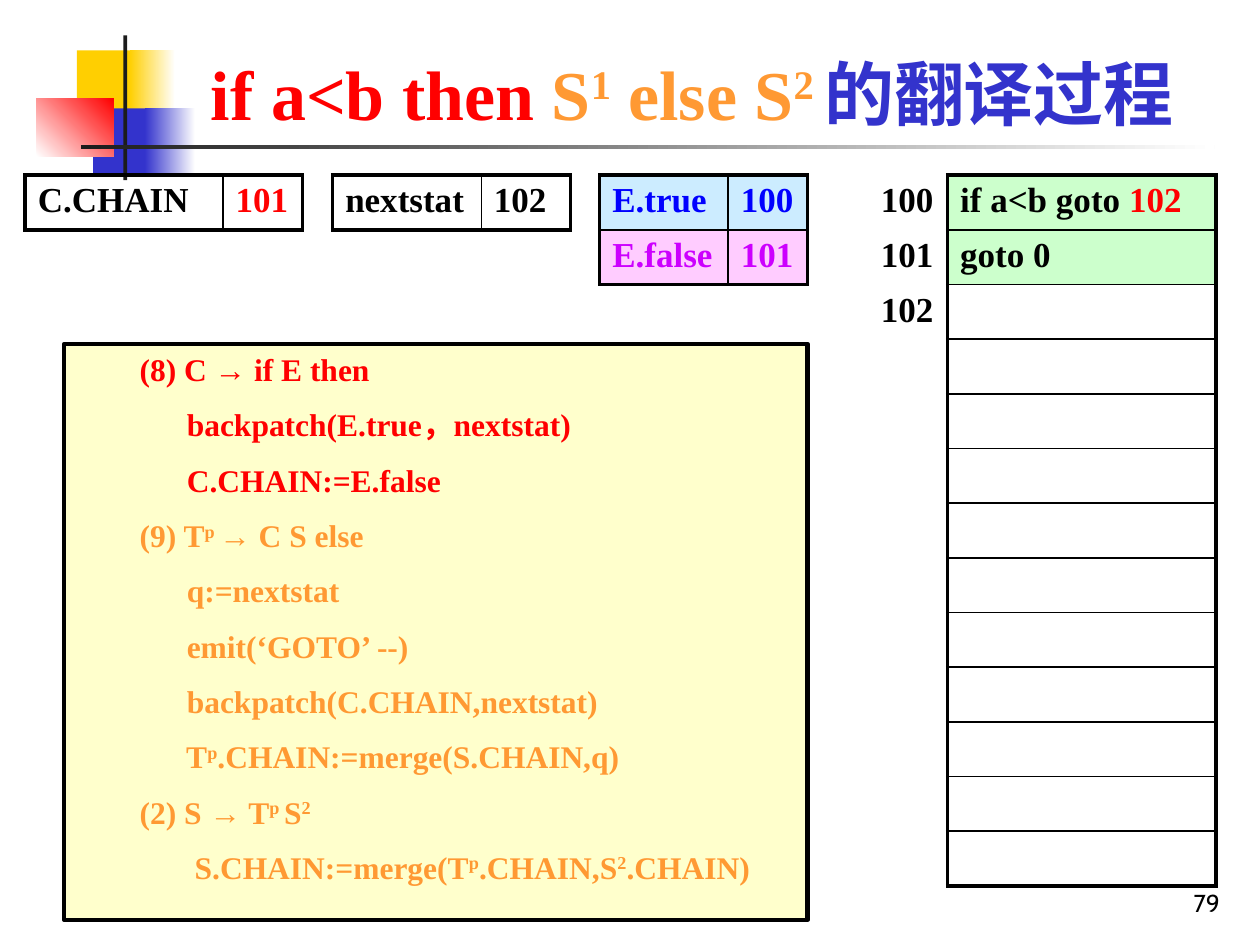
import pptx
import pptx.util
import pptx.dml.color
import pptx.enum.shapes
import pptx.enum.text
import pptx.oxml.ns
from lxml import etree

COLORS = {
    "black": "000000", "white": "FFFFFF", "ink": "1C1C1C", "gold": "FFCF01",
    "indigo": "3333CC", "red": "FF0000", "orange": "FF9933", "blue": "0000FF",
    "violet": "CC00FF", "cream": "FFFFCC", "mint": "CCFFCC", "sky": "CCECFF",
    "pink": "FFCCFF",
}
RGB = {name: pptx.dml.color.RGBColor.from_string(value) for name, value in COLORS.items()}
SERIF = "Times New Roman"
NO_STYLE = "{2D5ABB26-0587-4C30-8999-92F81FD0307C}"
RECTANGLE = pptx.enum.shapes.MSO_SHAPE.RECTANGLE
ANCHOR = pptx.enum.text.MSO_ANCHOR
ALIGN = pptx.enum.text.PP_ALIGN
qn = pptx.oxml.ns.qn

presentation = pptx.Presentation()
presentation.slide_width = pptx.util.Inches(10)
presentation.slide_height = pptx.util.Inches(7.5)
column_unit = presentation.slide_width / 100
row_unit = presentation.slide_height / 75
slide = presentation.slides.add_slide(presentation.slide_layouts[5])


def place(left, top, width, height):
    return [pptx.util.Emu(round(length * unit)) for length, unit in
            zip((left, top, width, height), (column_unit, row_unit) * 2)]


def write(paragraph, size, parts, font=SERIF, bold=True):
    for text, color in parts:
        for index, piece in enumerate(text.split("^")):
            if not piece:
                continue
            run = paragraph.add_run()
            run.text = piece
            run.font.name = font
            run.font.size = pptx.util.Pt(size)
            run.font.bold = bold
            run.font.color.rgb = RGB[color]
            if index % 2:
                run.font._element.set("baseline", "30000")


decorations = [
    ((6.1, 4, 4.8, 5.2), "gold", None, 0),
    ((10.3, 4, 3.6, 5.2), "gold", "white", 0),
    ((7.4, 8.6, 4.6, 5.2), "indigo", None, 0),
    ((11.5, 8.6, 4, 5.2), "indigo", "white", 0),
    ((2.9, 7.8, 6.1, 4.6), "white", "red", 45),
    ((9.8, 2.8, 0.3, 11.5), "ink", None, 0),
    ((6.4, 11.5, 90, 0.3), "ink", "white", 0),
]
for frame, start, end, angle in decorations:
    shape = slide.shapes.add_shape(RECTANGLE, *place(*frame))
    shape.shadow.inherit = False
    shape.line.fill.background()
    if end:
        shape.fill.gradient()
        shape.fill.gradient_angle = angle
        for stop, color in zip(shape.fill.gradient_stops, (start, end)):
            stop.color.rgb = RGB[color]
    else:
        shape.fill.solid()
        shape.fill.fore_color.rgb = RGB[start]

title = slide.shapes.title
title.left, title.top, title.width, title.height = place(12.2, 3.6, 85.5, 7.6)
title.text_frame.word_wrap = True
title.text_frame.auto_size = pptx.enum.text.MSO_AUTO_SIZE.NONE
title.text_frame.vertical_anchor = ANCHOR.BOTTOM
title.text_frame.paragraphs[0].alignment = ALIGN.CENTER
write(title.text_frame.paragraphs[0], 40, [
    ("if a<b then ", "red"), ("S^1^ else S^2 ^", "orange"), ("的翻译过程", "indigo")])

page_number = slide.shapes.add_textbox(*place(77, 68.3, 20.8, 5))
page_number.text_frame.word_wrap = True
page_number.text_frame.vertical_anchor = ANCHOR.BOTTOM
page_number.text_frame.paragraphs[0].alignment = ALIGN.RIGHT
write(page_number.text_frame.paragraphs[0], 14, [("79", "black")], "Cabin", False)

rules = [
    ("(8) C → if E then", "red"),
    ("      backpatch(E.true，nextstat)", "red"),
    ("      C.CHAIN:=E.false", "red"),
    ("(9) T^p ^→ C S else", "orange"),
    ("      q:=nextstat", "orange"),
    ("      emit(‘GOTO’ --)", "orange"),
    ("      backpatch(C.CHAIN,nextstat)", "orange"),
    ("      T^p^.CHAIN:=merge(S.CHAIN,q)", "orange"),
    ("(2) S → T^p ^S^2", "orange"),
    ("       S.CHAIN:=merge(T^p^.CHAIN,S^2^.CHAIN)", "orange"),
]
rules_box = slide.shapes.add_shape(RECTANGLE, *place(5.1, 27.3, 59, 45.7))
rules_box.shadow.inherit = False
rules_box.fill.solid()
rules_box.fill.fore_color.rgb = RGB["cream"]
rules_box.line.color.rgb = RGB["black"]
rules_box.line.width = pptx.util.Pt(2.5)
rules_box.text_frame.word_wrap = True
rules_box.text_frame.vertical_anchor = ANCHOR.TOP
for index, rule in enumerate(rules):
    if index:
        paragraph = rules_box.text_frame.add_paragraph()
        paragraph.space_before = pptx.util.Pt(10)
    else:
        paragraph = rules_box.text_frame.paragraphs[0]
    paragraph.alignment = ALIGN.LEFT
    properties = paragraph._p.get_or_add_pPr()
    properties.set("marL", str(pptx.util.Inches(1)))
    properties.set("indent", str(pptx.util.Inches(-0.5)))
    write(paragraph, 18, [rule])

code_rows = [
    [("white", [("100", "black")]), ("mint", [("if a<b goto ", "black"), ("102", "red")])],
    [("white", [("101", "black")]), ("mint", [("goto 0", "black")])],
    [("white", [("102", "black")]), ("white", [])],
] + [[("white", []), ("white", [])]] * 10
tables = [
    (68.9, (6.3, 21.3), 1, code_rows),
    (47.6, (10.2, 6.3), 0, [
        [("sky", [("E.true", "blue")]), ("sky", [("100", "blue")])],
        [("pink", [("E.false", "violet")]), ("pink", [("101", "violet")])]]),
    (26.4, (11.8, 7.1), 0, [[(None, [("nextstat", "black")]), (None, [("102", "black")])]]),
    (2, (15.7, 6.3), 0, [[(None, [("C.CHAIN", "black")]), (None, [("101", "red")])]]),
]
row_height = 4.34
for left, widths, first_framed, rows in tables:
    frame = place(left, 13.9, sum(widths), row_height * len(rows))
    table = slide.shapes.add_table(len(rows), len(widths), *frame).table
    table.first_row = table.horz_banding = False
    table._tbl.tblPr.find(qn("a:tableStyleId")).text = NO_STYLE
    for column, width in zip(table.columns, widths):
        column.width = round(width * column_unit)
    for row_index, cells in enumerate(rows):
        table.rows[row_index].height = round(row_height * row_unit)
        for column_index, (fill, parts) in enumerate(cells):
            cell = table.cell(row_index, column_index)
            if fill:
                cell.fill.solid()
                cell.fill.fore_color.rgb = RGB[fill]
            else:
                cell.fill.background()
            write(cell.text_frame.paragraphs[0], 20, parts)
            if column_index < first_framed:
                edges = [("lnR", True)]
            else:
                edges = [("lnL", column_index == first_framed),
                         ("lnR", column_index == len(widths) - 1),
                         ("lnT", row_index == 0),
                         ("lnB", row_index == len(rows) - 1)]
            cell_properties = cell._tc.get_or_add_tcPr()
            for position, (edge, outer) in enumerate(edges):
                border = etree.Element(qn("a:" + edge))
                border.set("w", str(pptx.util.Pt(2.25 if outer else 1)))
                solid = etree.SubElement(border, qn("a:solidFill"))
                etree.SubElement(solid, qn("a:srgbClr")).set("val", COLORS["black"])
                cell_properties.insert(position, border)

presentation.save("out.pptx")
